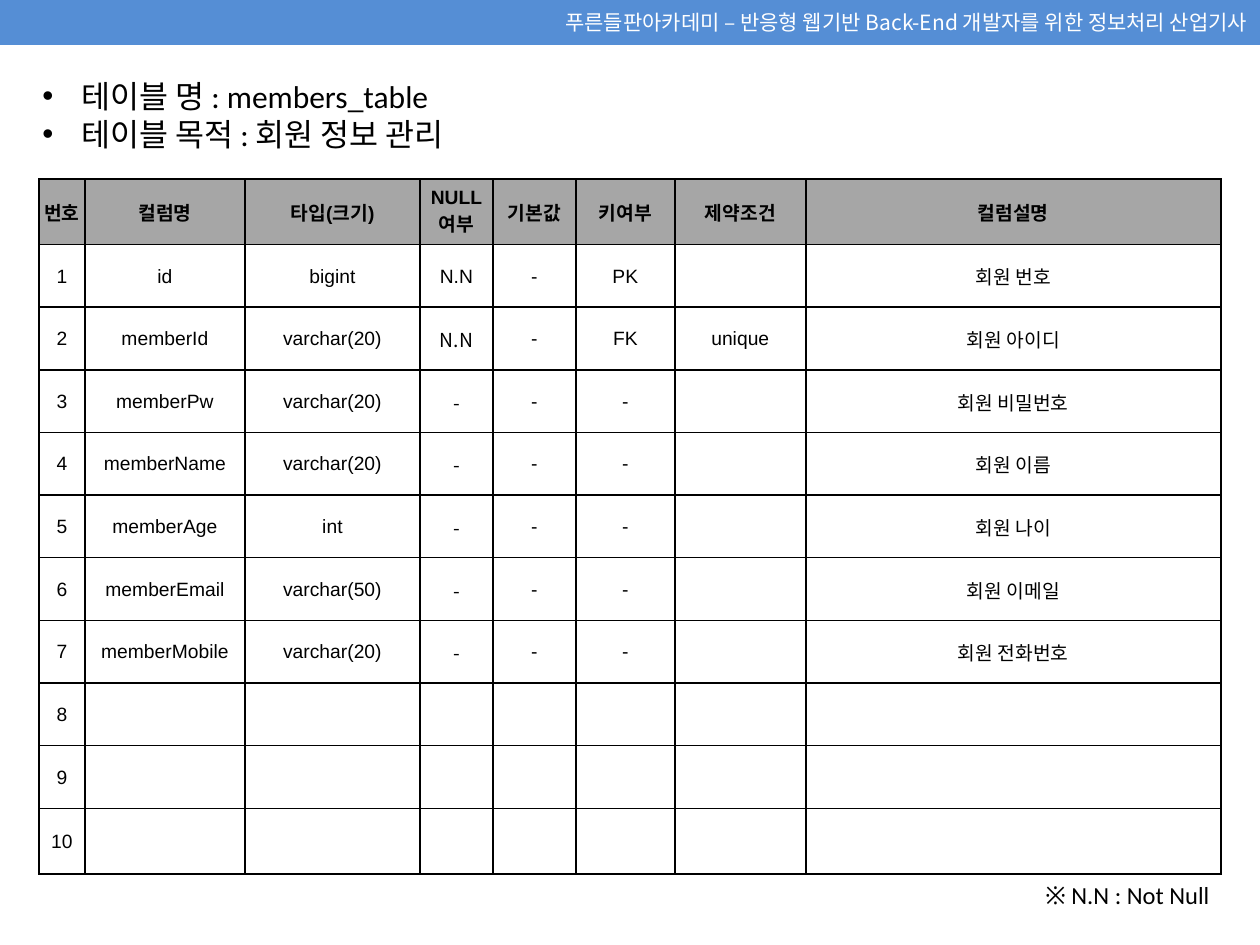
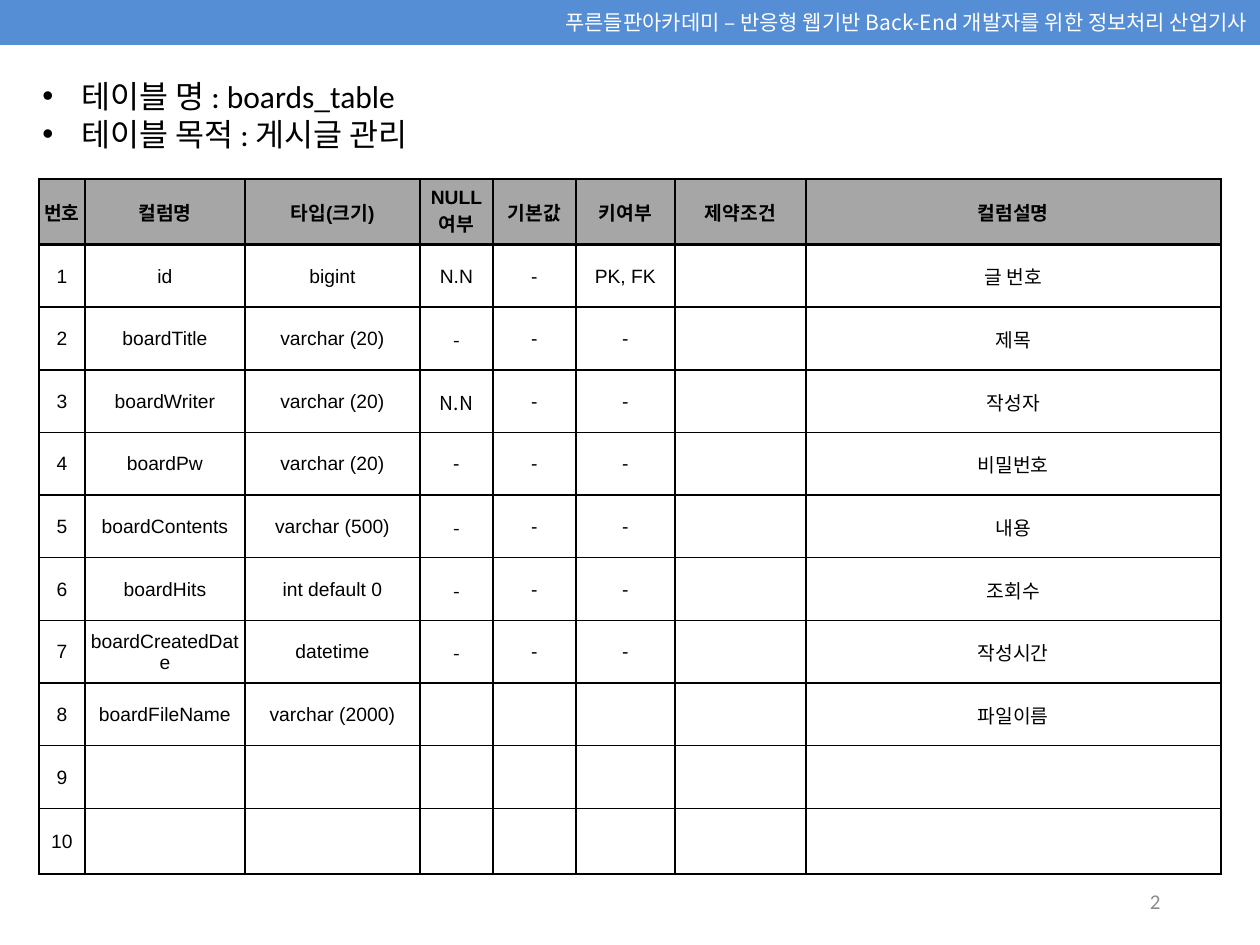
"""Build two slides that define the tables of a member and board database."""
import pptx
import pptx.dml.color
import pptx.enum.shapes
import pptx.enum.text
import pptx.oxml.ns
import pptx.util
from lxml import etree

SCALE = 914400 / 126
COLORS = {"band": "558ED5", "header": "A6A6A6", "ink": "000000", "white": "FFFFFF", "number": "8C8C8C"}
LATIN, TABLE_FONT, KOREAN = "Calibri", "Arial", "Noto Sans CJK KR"
ALIGN = pptx.enum.text.PP_ALIGN
MIDDLE = pptx.enum.text.MSO_ANCHOR.MIDDLE

BAND_TEXT = "푸른들판아카데미 – 반응형 웹기반 Back-End 개발자를 위한 정보처리 산업기사"
BAND_BOX = (0, 0, 1260, 45)
SUMMARY_BOX = (30, 71, 1196, 87)
TABLE_LEFT, TABLE_TOP, TABLE_HEIGHT = 39, 179, 695
EDGE_ROW = 65.5
ROW_COUNT = 11
BULLET_INDENT = 39
COLUMNS = [("번호", 46), ("컬럼명", 160), ("타입(크기)", 175), ("NULL 여부", 73),
           ("기본값", 83), ("키여부", 99), ("제약조건", 131), ("컬럼설명", 415)]
NULL_COLUMN = 3
LATIN_NULL_ROWS = {"id", "boardPw"}

SLIDES = [
    {
        "summary": ["테이블 명 : members_table", "테이블 목적 : 회원 정보 관리"],
        "rows": [
            ("id", "bigint", "N.N", "-", "PK", "", "회원 번호"),
            ("memberId", "varchar(20)", "N.N", "-", "FK", "unique", "회원 아이디"),
            ("memberPw", "varchar(20)", "-", "-", "-", "", "회원 비밀번호"),
            ("memberName", "varchar(20)", "-", "-", "-", "", "회원 이름"),
            ("memberAge", "int", "-", "-", "-", "", "회원 나이"),
            ("memberEmail", "varchar(50)", "-", "-", "-", "", "회원 이메일"),
            ("memberMobile", "varchar(20)", "-", "-", "-", "", "회원 전화번호"),
        ],
        "header_line": 1,
        "footer": {"text": "※ N.N : Not Null", "box": (1027, 874, 195, 43), "size": 14,
                   "color": "ink", "anchor": pptx.enum.text.MSO_ANCHOR.TOP},
    },
    {
        "summary": ["테이블 명 : boards_table", "테이블 목적 : 게시글 관리"],
        "rows": [
            ("id", "bigint", "N.N", "-", "PK, FK", "", "글 번호"),
            ("boardTitle", "varchar (20)", "-", "-", "-", "", "제목"),
            ("boardWriter", "varchar (20)", "N.N", "-", "-", "", "작성자"),
            ("boardPw", "varchar (20)", "-", "-", "-", "", "비밀번호"),
            ("boardContents", "varchar (500)", "-", "-", "-", "", "내용"),
            ("boardHits", "int default 0", "-", "-", "-", "", "조회수"),
            ("boardCreatedDate", "datetime", "-", "-", "-", "", "작성시간"),
            ("boardFileName", "varchar (2000)", "", "", "", "", "파일이름"),
        ],
        "header_line": 2,
        "footer": {"text": "2", "box": (890, 876, 283, 50), "size": 12,
                   "color": "number", "anchor": MIDDLE},
    },
]


def emu(pixels):
    return pptx.util.Emu(round(pixels * SCALE))


def place(box):
    return [emu(value) for value in box]


def rgb(name):
    return pptx.dml.color.RGBColor.from_string(COLORS[name])


def add_element(parent, tag, **attributes):
    return etree.SubElement(parent, pptx.oxml.ns.qn(tag), attributes)


def write(paragraph, text, size=11, font=LATIN, color="ink", bold=False, align=ALIGN.LEFT, bullet=False):
    paragraph.alignment = align
    if bullet:
        properties = paragraph._p.get_or_add_pPr()
        properties.set("marL", str(emu(BULLET_INDENT)))
        properties.set("indent", str(-emu(BULLET_INDENT)))
        add_element(properties, "a:buFont", typeface="Arial")
        add_element(properties, "a:buChar", char="•")
    if text:
        run = paragraph.add_run()
        run.text = text
        run.font.size = pptx.util.Pt(size)
        run.font.bold = bold
        run.font.color.rgb = rgb(color)
        run.font.name = font
        add_element(run._r.get_or_add_rPr(), "a:ea", typeface=KOREAN)


def add_text_box(slide, box, anchor):
    frame = slide.shapes.add_textbox(*place(box)).text_frame
    frame.word_wrap = True
    frame.vertical_anchor = anchor
    return frame


def add_band(slide):
    band = slide.shapes.add_shape(pptx.enum.shapes.MSO_SHAPE.RECTANGLE, *place(BAND_BOX))
    band.shadow.inherit = False
    band.fill.solid()
    band.fill.fore_color.rgb = rgb("band")
    band.line.fill.background()
    band.text_frame.vertical_anchor = MIDDLE
    write(band.text_frame.paragraphs[0], BAND_TEXT, size=12, font=KOREAN, color="white", align=ALIGN.RIGHT)


def add_summary(slide, lines):
    frame = add_text_box(slide, SUMMARY_BOX, pptx.enum.text.MSO_ANCHOR.TOP)
    for index, line in enumerate(lines):
        paragraph = frame.add_paragraph() if index else frame.paragraphs[0]
        write(paragraph, line, size=18, bullet=True)


def set_borders(cell, top, bottom):
    properties = cell._tc.get_or_add_tcPr()
    for side, width in (("L", 1), ("R", 1), ("T", top), ("B", bottom)):
        line = add_element(properties, "a:ln" + side, w=str(pptx.util.Pt(width)))
        add_element(add_element(line, "a:solidFill"), "a:srgbClr", val=COLORS["ink"])


def add_definition_table(slide, rows, header_line):
    widths = [width for _, width in COLUMNS]
    box = (TABLE_LEFT, TABLE_TOP, sum(widths), TABLE_HEIGHT)
    table = slide.shapes.add_table(ROW_COUNT, len(COLUMNS), *place(box)).table
    table.first_row = table.horz_banding = False
    for column, width in zip(table.columns, widths):
        column.width = emu(width)
    body_row = (TABLE_HEIGHT - 2 * EDGE_ROW) / (ROW_COUNT - 2)
    blank = ("",) * (len(COLUMNS) - 1)
    padded = list(rows) + [blank] * (ROW_COUNT - 1 - len(rows))
    content = [[title for title, _ in COLUMNS]]
    content += [(str(number), *row) for number, row in enumerate(padded, 1)]
    for row_index, values in enumerate(content):
        header = row_index == 0
        table.rows[row_index].height = emu(EDGE_ROW if row_index in (0, ROW_COUNT - 1) else body_row)
        for column_index, value in enumerate(values):
            cell = table.cell(row_index, column_index)
            cell.margin_left = cell.margin_right = cell.margin_top = emu(1)
            cell.margin_bottom = 0
            cell.vertical_anchor = MIDDLE
            set_borders(cell, header_line if row_index == 1 else 1, header_line if header else 1)
            if header:
                cell.fill.solid()
                cell.fill.fore_color.rgb = rgb("header")
            else:
                cell.fill.background()
            korean = not header and column_index == NULL_COLUMN and values[1] not in LATIN_NULL_ROWS
            write(cell.text_frame.paragraphs[0], value, font=KOREAN if korean else TABLE_FONT,
                  bold=header, align=ALIGN.CENTER)


def add_footer(slide, footer):
    frame = add_text_box(slide, footer["box"], footer["anchor"])
    write(frame.paragraphs[0], footer["text"], size=footer["size"], color=footer["color"], align=ALIGN.RIGHT)


presentation = pptx.Presentation()
presentation.slide_width, presentation.slide_height = emu(1260), emu(945)
for page in SLIDES:
    slide = presentation.slides.add_slide(presentation.slide_layouts[6])
    add_band(slide)
    add_summary(slide, page["summary"])
    add_definition_table(slide, page["rows"], page["header_line"])
    add_footer(slide, page["footer"])
presentation.save("out.pptx")
